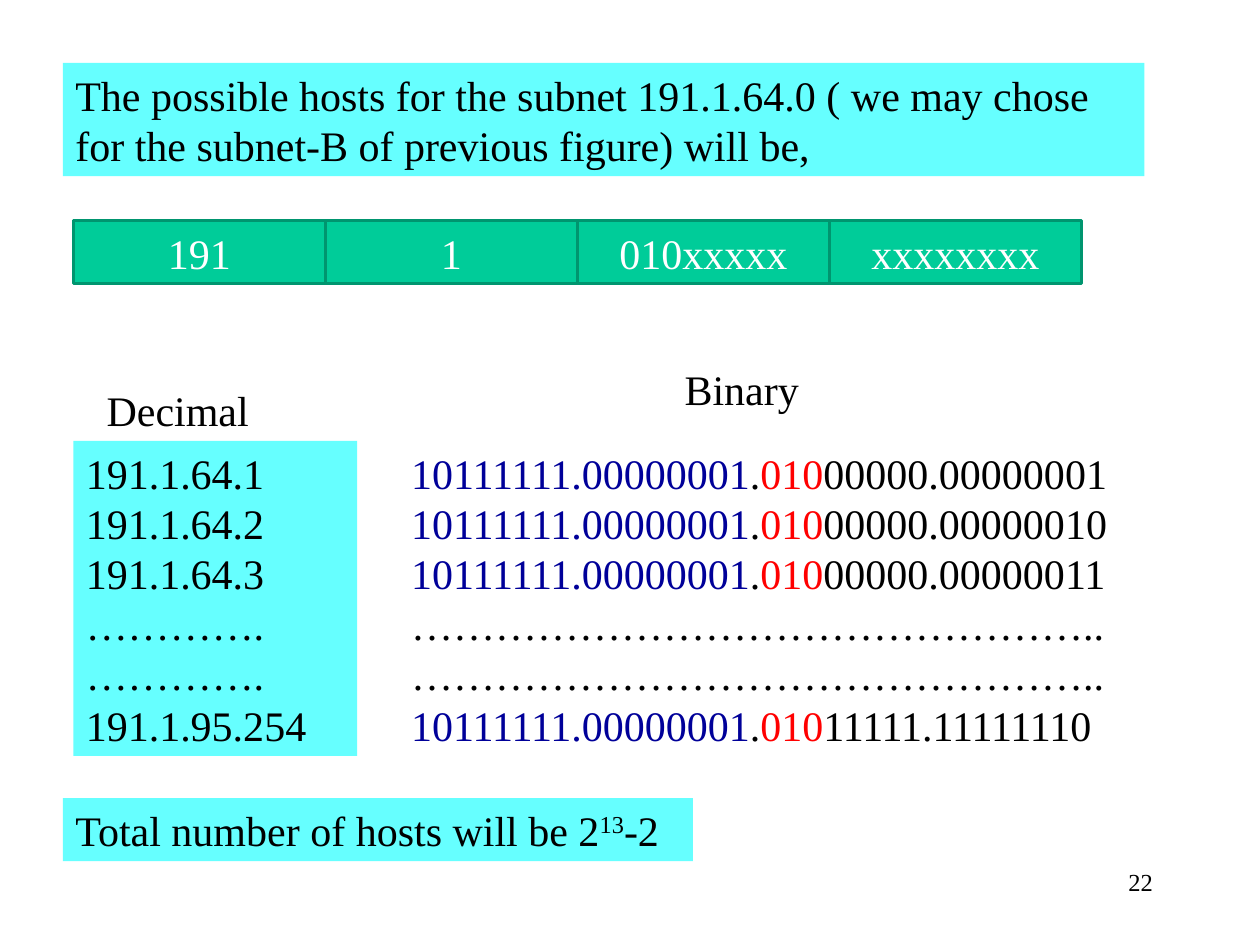
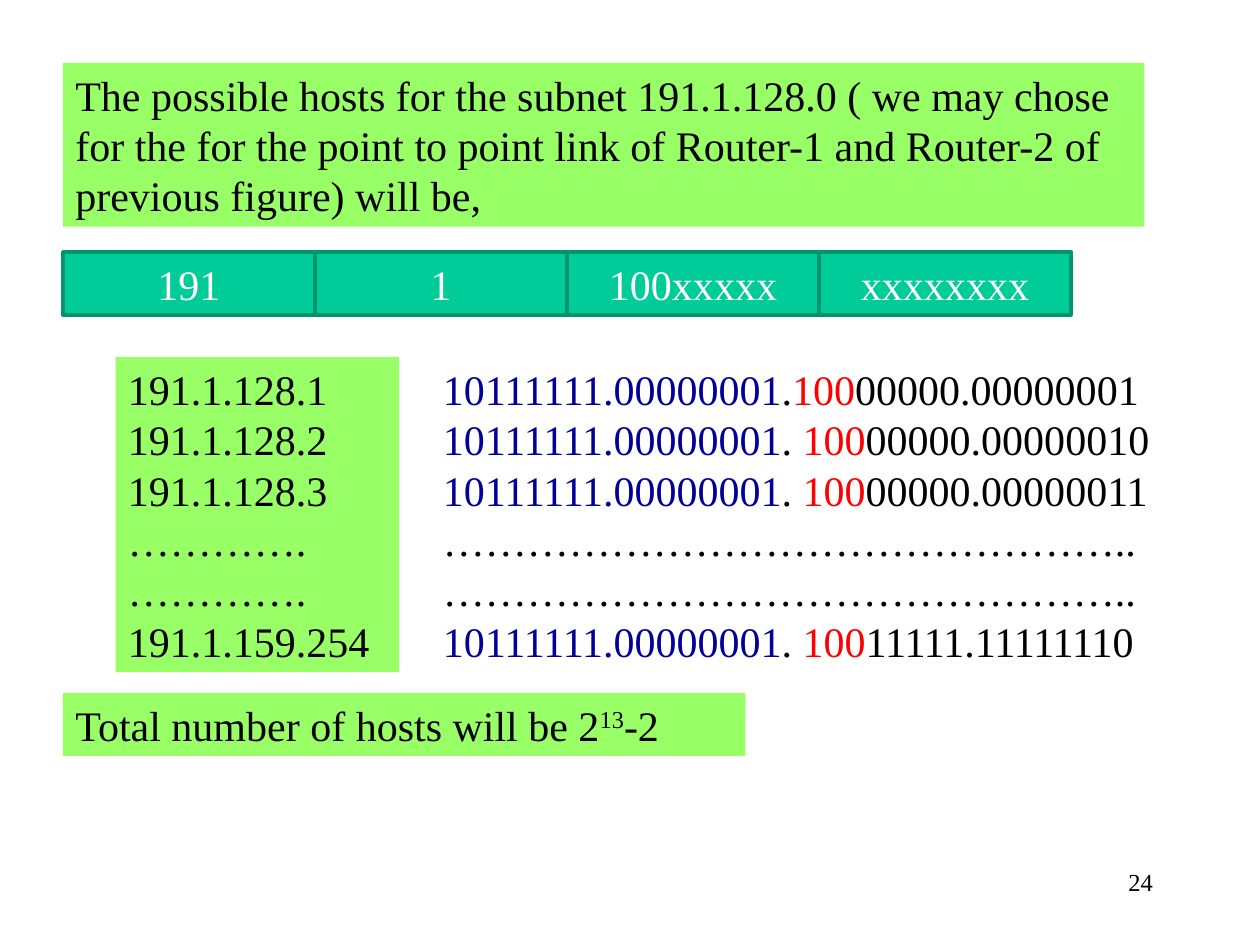
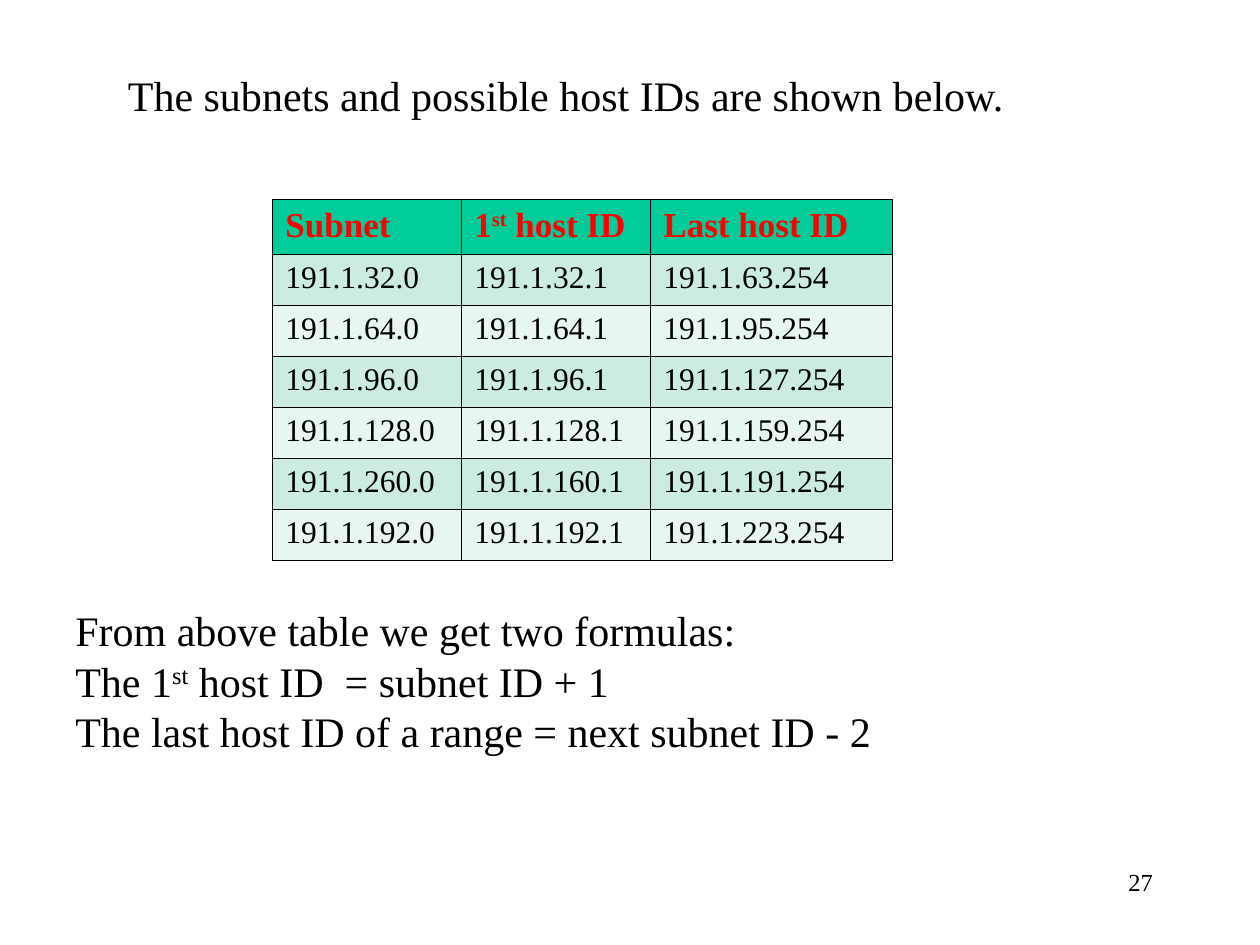
from pptx import Presentation
from pptx.dml.color import RGBColor
from pptx.enum.shapes import MSO_SHAPE as Shape
from pptx.enum.text import MSO_ANCHOR as Anchor, PP_ALIGN as Align
from pptx.oxml import parse_xml
from pptx.oxml.ns import nsdecls
from pptx.util import Cm, Pt

BLACK = RGBColor(0x00, 0x00, 0x00)
WHITE = RGBColor(0xFF, 0xFF, 0xFF)
RED = RGBColor(0xFF, 0x00, 0x00)
NAVY = RGBColor(0x00, 0x00, 0x99)
CYAN = RGBColor(0x66, 0xFF, 0xFF)
LIME = RGBColor(0x99, 0xFF, 0x66)
GREEN = RGBColor(0x00, 0xCC, 0x99)
EDGE = RGBColor(0x00, 0x95, 0x6F)
BANDS = [RGBColor(0xE7, 0xF6, 0xEF), RGBColor(0xCB, 0xEC, 0xDE)]

FONT = {"name": "Times New Roman", "size": Pt(24)}

# Content: a line is a string, or a list of strings and (text, mark) pairs
NET = "10111111.00000001"
GAP = "…………."
LONG = "………………………………………….."
TOTAL = ["Total number of hosts will be 2", ("13", "sup"), "-2"]
TAILS = ["00000.00000001", "00000.00000010", "00000.00000011",
         None, None, "11111.11111110"]

# Places are left, top, width, height in cm
HOSTS = [
    {
        "page": "22", "tint": CYAN,
        "title": "The possible hosts for the subnet 191.1.64.0 ( we may chose "
                 "for the subnet-B of previous figure) will be,",
        "title_at": (1.27, 1.27, 21.8, 2.28),
        "octets": ["191", "1", "010xxxxx", "xxxxxxxx"],
        "octets_at": (1.48, 4.45),
        "addrs": ["191.1.64.1", "191.1.64.2", "191.1.64.3",
                  GAP, GAP, "191.1.95.254"],
        "addrs_at": (1.48, 8.89, 5.72, 6.35),
        "bits": ["010"] * 6,
        "bits_at": (8.04, 8.89, 15.03, 6.35),
        "total_at": (1.27, 16.09, 12.7, 1.27),
        "heads": [("Decimal", (1.9, 7.62, 4.87, 1.27)),
                  ("Binary", (13.55, 7.2, 3.39, 1.27))],
    },
    {
        "page": "24", "tint": LIME,
        "title": "The possible hosts for the subnet 191.1.128.0 ( we may chose "
                 "for the for the point to point link of Router-1 and Router-2 "
                 "of previous figure) will be,",
        "title_at": (1.27, 1.27, 21.8, 3.3),
        "octets": ["191", "1", "100xxxxx", "xxxxxxxx"],
        "octets_at": (1.27, 5.08),
        "addrs": ["191.1.128.1", "191.1.128.2", "191.1.128.3",
                  GAP, GAP, "191.1.159.254"],
        "addrs_at": (2.33, 7.2, 5.72, 6.35),
        "bits": ["100"] + [" 100"] * 5,
        "bits_at": (8.68, 7.2, 15.03, 6.35),
        "total_at": (1.27, 13.97, 13.76, 1.27),
        "heads": [],
    },
]

TABLE = [
    ("Subnet", ["1", ("st", "sup"), " host ID"], "Last host ID"),
    ("191.1.32.0", "191.1.32.1", "191.1.63.254"),
    ("191.1.64.0", "191.1.64.1", "191.1.95.254"),
    ("191.1.96.0", "191.1.96.1", "191.1.127.254"),
    ("191.1.128.0", "191.1.128.1", "191.1.159.254"),
    ("191.1.260.0", "191.1.160.1", "191.1.191.254"),
    ("191.1.192.0", "191.1.192.1", "191.1.223.254"),
]
COLS = [3.81, 3.81, 4.87]
HEAD, ROW = 1.1, 1.03
RULES = [
    "From above table we get two formulas:",
    ["The 1", ("st", "sup"), " host ID  = subnet ID + 1"],
    "The last host ID of a range = next subnet ID - 2",
]


def write(frame, lines, align=Align.LEFT, color=BLACK, **style):
    """Fill a text frame, one paragraph a line."""
    frame.word_wrap = True
    for i, line in enumerate(lines):
        para = frame.add_paragraph() if i else frame.paragraphs[0]
        para.alignment = align
        for part in [line] if isinstance(line, str) else line:
            text, mark = (part, None) if isinstance(part, str) else part
            run = para.add_run()
            run.text = text
            for key, value in {**FONT, **style}.items():
                setattr(run.font, key, value)
            run.font.color.rgb = mark if isinstance(mark, RGBColor) else color
            if mark == "sup":
                run.font._element.set("baseline", "30000")


def label(slide, lines, at, **style):
    """Place plain text."""
    box = slide.shapes.add_textbox(*map(Cm, at))
    write(box.text_frame, lines, **style)


def panel(shapes, lines, at, fill, edge=None, anchor=Anchor.TOP, **style):
    """Place text on a filled rectangle."""
    box = shapes.add_shape(Shape.RECTANGLE, *map(Cm, at))
    box.shadow.inherit = False
    box.fill.solid()
    box.fill.fore_color.rgb = fill
    if edge is None:
        box.line.fill.background()
    else:
        box.line.color.rgb = edge
        box.line.width = Pt(2)
    box.text_frame.vertical_anchor = anchor
    write(box.text_frame, lines, **style)


def octets(slide, texts, left, top, wide=5.08, high=1.27):
    """Draw the address as a row of joined boxes."""
    group = slide.shapes.add_group_shape()
    for i, text in enumerate(texts):
        panel(group.shapes, [text], (left + i * wide, top, wide, high), GREEN,
              EDGE, Anchor.MIDDLE, align=Align.CENTER, color=WHITE)


def border(cell):
    """Rule all four sides of a cell."""
    for side in ("lnL", "lnR", "lnT", "lnB"):
        cell._tc.get_or_add_tcPr().append(parse_xml(
            f'<a:{side} {nsdecls("a")} w="{Pt(0.45)}"><a:solidFill>'
            f'<a:srgbClr val="{BLACK}"/></a:solidFill></a:{side}>'))


def grid(slide, left, top):
    """Draw the subnet table."""
    count = len(TABLE)
    size = (sum(COLS), HEAD + ROW * (count - 1))
    table = slide.shapes.add_table(
        count, len(COLS), *map(Cm, (left, top, *size))).table
    for col, wide in zip(table.columns, COLS):
        col.width = Cm(wide)
    for r, texts in enumerate(TABLE):
        table.rows[r].height = Cm(ROW if r else HEAD)
        fill = BANDS[r % 2] if r else GREEN
        style = ({"size": Pt(18), "bold": False} if r else
                 {"size": Pt(20), "bold": True, "color": RED})
        for c, text in enumerate(texts):
            cell = table.cell(r, c)
            border(cell)
            cell.fill.solid()
            cell.fill.fore_color.rgb = fill
            write(cell.text_frame, [text], **style)


def start(deck, page):
    """Add a slide with its number."""
    slide = deck.slides.add_slide(deck.slide_layouts[6])
    label(slide, [page], (18.2, 17.36, 5.29, 1.27),
          align=Align.RIGHT, size=Pt(14))
    return slide


def hosts(deck, data):
    """Build a slide listing the hosts of one subnet."""
    slide = start(deck, data["page"])
    for lines, at in (([data["title"]], "title_at"),
                      (data["addrs"], "addrs_at"), ([TOTAL], "total_at")):
        panel(slide.shapes, lines, data[at], data["tint"])
    octets(slide, data["octets"], *data["octets_at"])
    binary = [[(NET, NAVY), ".", (bits, RED), tail] if tail else LONG
              for bits, tail in zip(data["bits"], TAILS)]
    label(slide, binary, data["bits_at"])
    for text, at in data["heads"]:
        label(slide, [text], at)


def summary(deck):
    """Build the slide with the table of all subnets."""
    slide = start(deck, "27")
    label(slide, ["The subnets and possible host IDs are shown below."],
          (2.33, 1.27, 19.69, 1.27))
    grid(slide, 5.5, 4.02)
    label(slide, RULES, (1.27, 12.07, 22.86, 3.3))


def main():
    deck = Presentation()
    deck.slide_width, deck.slide_height = Cm(25.4), Cm(19.05)
    for data in HOSTS:
        hosts(deck, data)
    summary(deck)
    deck.save("out.pptx")


if __name__ == "__main__":
    main()
